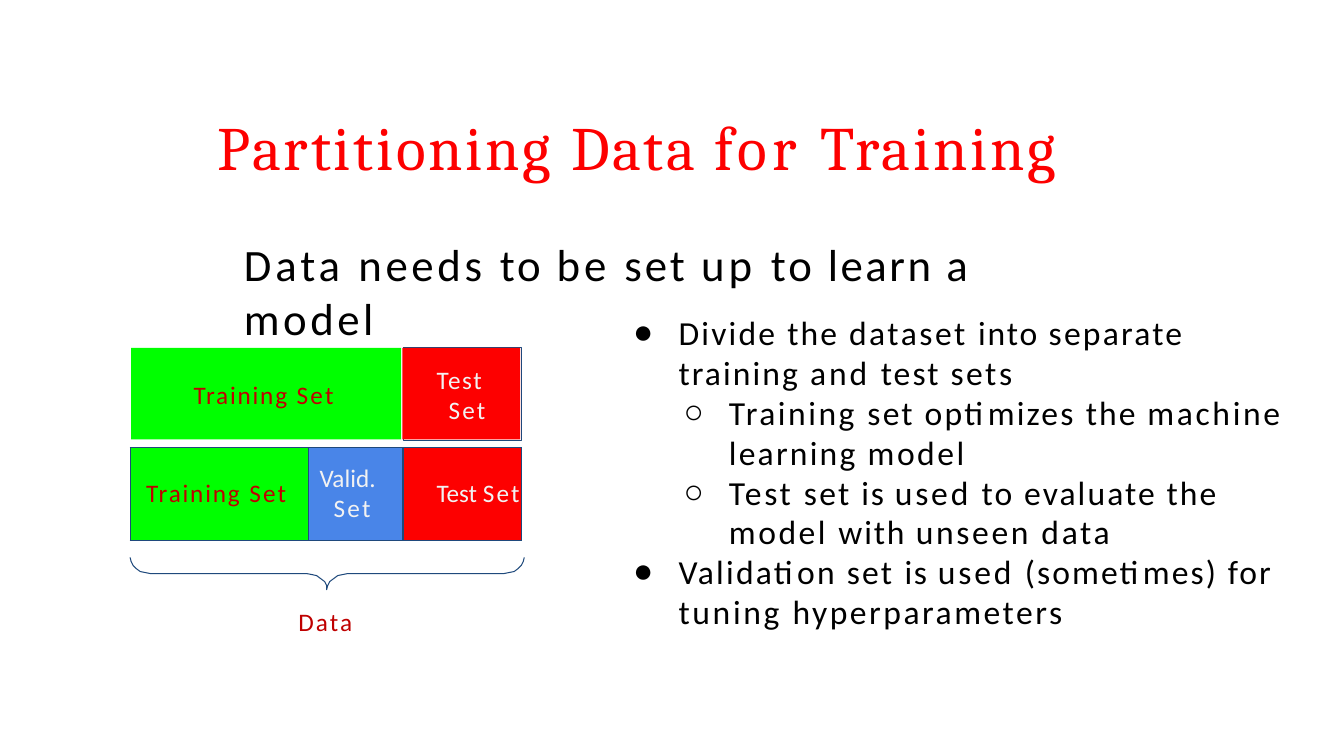
from lxml import etree
from pptx import Presentation
from pptx import util as u
from pptx.dml.color import RGBColor
from pptx.enum import shapes, text
from pptx.oxml import ns

PX = 9144  # 100 px to the inch
RED = RGBColor(0xFD, 0x00, 0x00)
DARK_RED = RGBColor(0xBF, 0x00, 0x00)
GREEN = RGBColor(0x00, 0xFF, 0x00)
BLUE = RGBColor(0x49, 0x85, 0xE8)
NAVY = RGBColor(0x1F, 0x49, 0x7C)
PALE = RGBColor(0xF2, 0xF2, 0xF2)
BLACK = RGBColor(0x00, 0x00, 0x00)

TRAINING = [("Training ", 1.3), ("Set", 1.6)]


def place(box, left, top, width, height):
    box.left, box.top, box.width, box.height = (
        n * PX for n in (left, top, width, height))
    frame = box.text_frame
    frame.word_wrap = True
    frame.auto_size = text.MSO_AUTO_SIZE.NONE
    frame.vertical_anchor = text.MSO_ANCHOR.TOP
    frame.margin_left = frame.margin_right = frame.margin_bottom = 0
    frame.margin_top = PX
    return frame


def write(paragraph, runs, size, color, margin=1, indent=0, font="Calibri"):
    paragraph.alignment = text.PP_ALIGN.LEFT
    paragraph.space_before = u.Pt(0)
    props = paragraph._p.get_or_add_pPr()
    props.set("marL", str(margin * PX))
    props.set("indent", str(indent * PX))
    for words, spacing in runs:
        run = paragraph.add_run()
        run.text = words
        run.font.name = font
        run.font.size = u.Pt(size)
        run.font.color.rgb = color
        run._r.get_or_add_rPr().set("spc", str(round(spacing * 100)))


deck = Presentation()
deck.slide_width, deck.slide_height = 1333 * PX, 750 * PX
slide = deck.slides.add_slide(deck.slide_layouts[1])

# Title and subtitle
title = place(slide.shapes.title, 215, 107, 904, 76)
write(title.paragraphs[0],
      [("Partitioning ", 2), ("Data ", 1.9), ("for ", 3.5), ("Training", 2.1)],
      44, RED, font="Cambria")

subtitle = place(slide.shapes.add_textbox(0, 0, 0, 0), 241, 234, 856, 56)
write(subtitle.paragraphs[0],
      [("Data ", 2.8), ("needs ", 2.6), ("to ", 2), ("be ", 2.8), ("set ", 2.1),
       ("up ", 3), ("to ", 2), ("learn ", 1.8), ("a ", 2.6), ("model", 2.5)],
      32, BLACK)

# Bullet list
advice = [
    (0, [("Divide ", 1.6), ("the ", 1.5), ("dataset ", 1.8), ("into ", 1.3),
         ("separate ", 1.6), ("training ", 1.5), ("and ", 2.1), ("test ", 1.5),
         ("sets", 1.8)]),
    (1, [("Training ", 1.8), ("set optimizes ", 1.6), ("the ", 1.5),
         ("machine ", 1.9), ("learning ", 1.6), ("model", 1.8)]),
    (1, [("Test ", 1.9), ("set ", 1.6), ("is ", 1.2), ("used ", 2),
         ("to evaluate the ", 1.5), ("model ", 1.8), ("with ", 1.3),
         ("unseen data", 1.9)]),
    (0, [("Validation set ", 1.6), ("is ", 1.2), ("used ", 2),
         ("(sometimes) for ", 1.5), ("tuning ", 1.9),
         ("hyperparameters", 1.8)]),
]
body = place(slide.placeholders[1], 627, 308, 650, 320)
for i, (level, runs) in enumerate(advice):
    item = body.add_paragraph() if i else body.paragraphs[0]
    item.level = level
    if i:
        item.line_spacing = u.Pt(28.5)
    write(item, runs, 24, BLACK, margin=46 + 50 * level, indent=-45)
    bullet = etree.SubElement(item._p.get_or_add_pPr(), ns.qn("a:buChar"))
    bullet.set("char", "●○"[level])

# Lower bar: three-way split, with border widths in points
split = [
    (177, TRAINING, GREEN, DARK_RED, 16, 0, 0.75, 1),
    (94, [("Valid. ", 0), ("Set", 1.6)], BLUE, PALE, 25, -14, 1, 1.5),
    (117, [("Test ", 0), ("Set", 1.6)], RED, PALE, 39, -6, 1.5, 0.75),
]
table = slide.shapes.add_table(
    1, 3, 129 * PX, 444 * PX, 388 * PX, 92 * PX).table
table.first_row = table.horz_banding = False
for i, (width, runs, fill, ink, margin, indent, left, right) in enumerate(split):
    table.columns[i].width = width * PX
    cell = table.cell(0, i)
    cell.margin_left = cell.margin_right = cell.margin_top = cell.margin_bottom = 0
    cell.vertical_anchor = text.MSO_ANCHOR.MIDDLE
    write(cell.text_frame.paragraphs[0], runs, 18, ink, margin, indent)
    for side, points in zip("LRTB", (left, right, 0.75, 0.75)):
        border = etree.SubElement(cell._tc.get_or_add_tcPr(),
                                  ns.qn("a:ln" + side), w=str(u.Pt(points)))
        paint = etree.SubElement(border, ns.qn("a:solidFill"))
        etree.SubElement(paint, ns.qn("a:srgbClr"), val=str(NAVY))
    cell.fill.solid()
    cell.fill.fore_color.rgb = fill

# Brace: left half, then its mirror image
half = [(129, 553), (130, 557), (132, 561), (135, 564), (139, 567), (144, 568),
        (149, 569), (304, 569), (309, 570), (314, 571), (318, 574), (322, 577),
        (324, 581)]
middle = 324.5
mirrored = [(2 * middle - x, y) for x, y in reversed(half)]
builder = slide.shapes.build_freeform(*half[0], scale=PX)
builder.add_line_segments(half[1:] + [(middle, 585)] + mirrored, close=False)
brace = builder.convert_to_shape()
brace.shadow.inherit = False
brace.fill.background()
brace.line.color.rgb = NAVY
brace.line.width = u.Pt(0.75)

data = place(slide.shapes.add_textbox(0, 0, 0, 0), 295, 601, 59, 33)
write(data.paragraphs[0], [("Data", 1.5)], 18, DARK_RED)

# Upper bar: two-way split, with an outline behind the test set
blocks = [
    (400, 117, 92, None, [], BLACK, 0, 0),
    (130, 268, 91, GREEN, TRAINING, DARK_RED, 62, 0),
    (399, 117, 91, RED, [("Test ", 1.1), ("Set", 1.6)], PALE, 46, -12),
]
for left, width, height, fill, runs, ink, margin, indent in blocks:
    block = slide.shapes.add_shape(shapes.MSO_SHAPE.RECTANGLE, 0, 0, 0, 0)
    frame = place(block, left, 345, width, height)
    frame.vertical_anchor = text.MSO_ANCHOR.MIDDLE
    block.shadow.inherit = False
    if fill is None:
        block.fill.background()
        block.line.color.rgb = NAVY
        block.line.width = u.Pt(0.75)
    else:
        block.fill.solid()
        block.fill.fore_color.rgb = fill
        block.line.fill.background()
        write(frame.paragraphs[0], runs, 18, ink, margin, indent)

deck.save("out.pptx")
